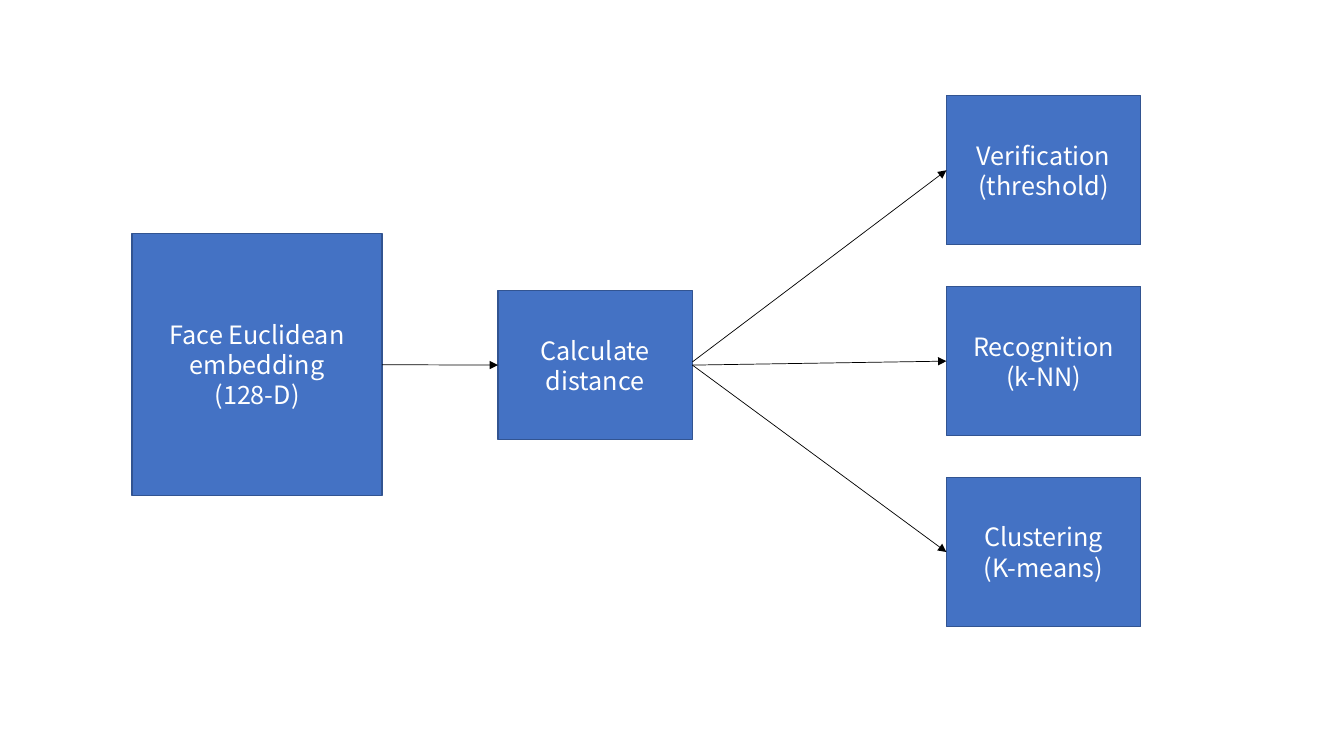
from lxml import etree
from pptx import Presentation
from pptx import util as u
from pptx.dml.color import RGBColor
from pptx.enum import shapes, text
from pptx.oxml.ns import qn

FONT = "Noto Sans CJK KR"
TOP, LEFT, BOTTOM, RIGHT = range(4)
STEP_W, STEP_H = 4.9, 3.76
OUTCOME_X, OUTCOME_Y, OUTCOME_PITCH = 23.85, 2.41, 4.81
OUTCOMES = ["Verification\n(threshold)", "Recognition\n(k-NN)", "Clustering\n(K-means)"]


def color(value):
    return RGBColor.from_string(value)


def write(frame, content, *, size=18, ink="FFFFFF", leading=21.6):
    frame.word_wrap = True
    frame.vertical_anchor = text.MSO_ANCHOR.MIDDLE
    frame.text = content
    for paragraph in frame.paragraphs:
        paragraph.alignment = text.PP_ALIGN.CENTER
        paragraph.line_spacing = u.Pt(leading)
        paragraph.font.name = FONT
        paragraph.font.size = u.Pt(size)
        paragraph.font.color.rgb = color(ink)


def add_step(slide, label, left, top, width=STEP_W, height=STEP_H):
    step = slide.shapes.add_shape(
        shapes.MSO_SHAPE.RECTANGLE, u.Cm(left), u.Cm(top), u.Cm(width), u.Cm(height))
    step.shadow.inherit = False
    step.fill.solid()
    step.fill.fore_color.rgb = color("4472C4")
    step.line.color.rgb = color("325491")
    step.line.width = u.Pt(1)
    write(step.text_frame, label)
    return step


def add_arrow(slide, source, target, start=None):
    x, y = start or (0, 0)
    arrow = slide.shapes.add_connector(
        shapes.MSO_CONNECTOR.STRAIGHT, u.Cm(x), u.Cm(y), u.Cm(x), u.Cm(y))
    if start is None:
        arrow.begin_connect(source, RIGHT)
    arrow.end_connect(target, LEFT)
    arrow.line.color.rgb = color("000000")
    arrow.line.width = u.Pt(0.5)
    properties = arrow._element.spPr
    etree.SubElement(properties.find(qn("a:ln")), qn("a:tailEnd"), type="triangle")
    etree.SubElement(properties, qn("a:effectLst"))


def main():
    deck = Presentation()
    deck.slide_width, deck.slide_height = u.Cm(33.87), u.Cm(19.05)
    slide = deck.slides.add_slide(deck.slide_layouts[6])

    embedding = add_step(slide, "Face Euclidean embedding\n(128-D)", 3.33, 5.89, 6.3, 6.6)
    distance = add_step(slide, "Calculate distance", 12.55, 7.32)
    verification, recognition, clustering = [
        add_step(slide, label, OUTCOME_X, OUTCOME_Y + row * OUTCOME_PITCH)
        for row, label in enumerate(OUTCOMES)]

    add_arrow(slide, embedding, distance)
    add_arrow(slide, distance, verification, start=(17.45, 9.12))
    add_arrow(slide, distance, recognition)
    add_arrow(slide, distance, clustering)

    deck.save("out.pptx")


if __name__ == "__main__":
    main()
